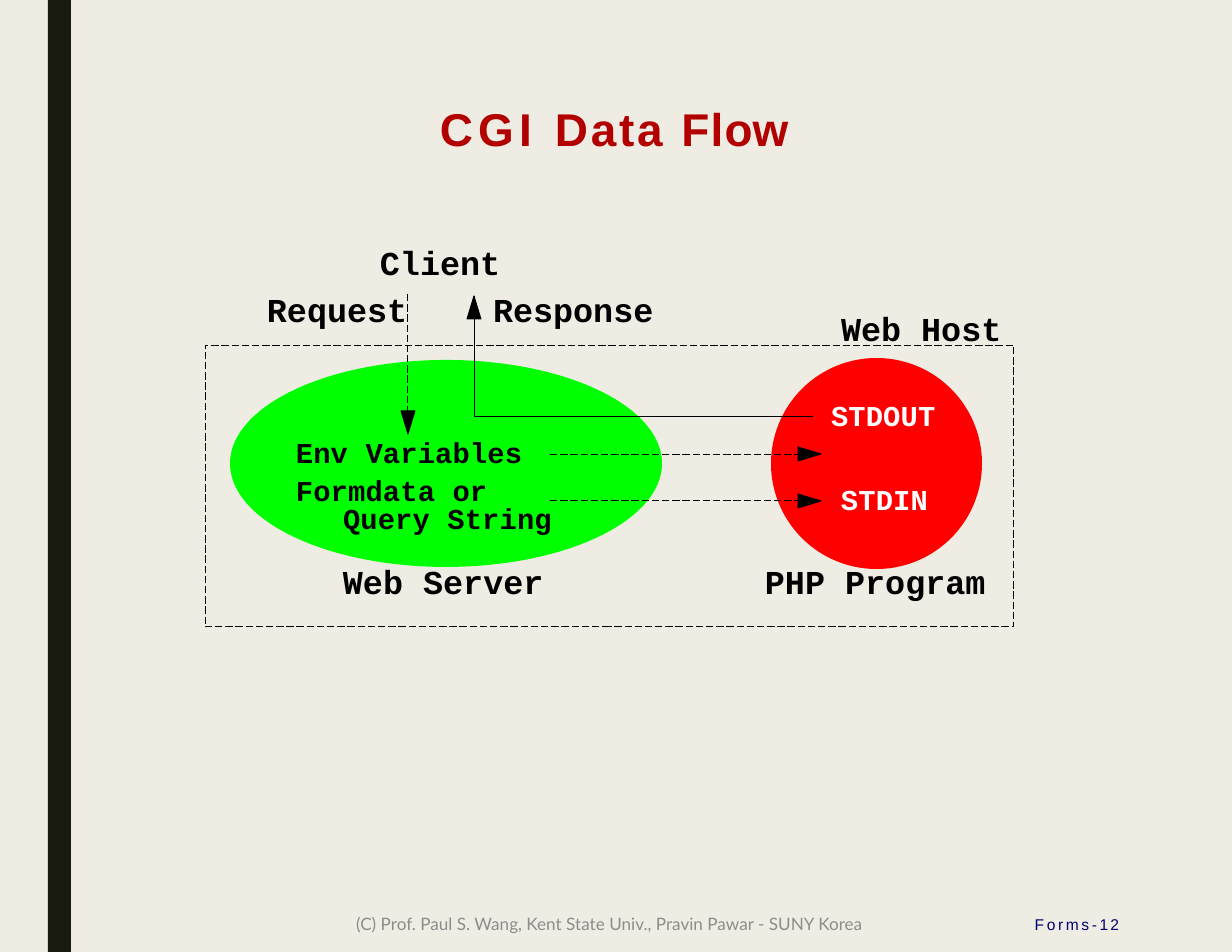
"""Build the CGI Data Flow slide."""
from dataclasses import dataclass

from lxml import etree
from pptx import Presentation
from pptx.dml.color import RGBColor
from pptx.enum.dml import MSO_LINE
from pptx.enum.shapes import MSO_CONNECTOR, MSO_SHAPE
from pptx.enum.text import MSO_ANCHOR, PP_ALIGN
from pptx.oxml.ns import qn
from pptx.util import Emu, Pt

EMU_PER_PX = 914400 / 112
RECTANGLE, OVAL = MSO_SHAPE.RECTANGLE, MSO_SHAPE.OVAL
STRAIGHT = MSO_CONNECTOR.STRAIGHT
LONG_DASH = MSO_LINE.LONG_DASH
LEFT, CENTER, RIGHT = PP_ALIGN.LEFT, PP_ALIGN.CENTER, PP_ALIGN.RIGHT
TOP, MIDDLE = MSO_ANCHOR.TOP, MSO_ANCHOR.MIDDLE
HEAD_LENGTH, HEAD_HALF = 23, 7


@dataclass(frozen=True)
class Theme:
    """Colours, fonts and sizes of the slide."""
    paper: str = "EFEDE3"
    bar: str = "191B0E"
    title: str = "B20000"
    number: str = "000072"
    footer: str = "8C8C8C"
    ink: str = "000000"
    white: str = "FFFFFF"
    server: str = "00FF00"
    program: str = "FF0000"
    sans: str = "Arial"
    mono: str = "Courier New"
    footer_font: str = "Lato"
    title_size: float = 29.5
    label_size: float = 21.5
    data_size: float = 18.5
    footer_size: float = 11
    number_size: float = 10
    line: float = 0.6


THEME = Theme()


def px(length):
    """Turn pixels into EMU."""
    return Emu(round(length * EMU_PER_PX))


def rgb(code):
    """Turn a hex code into a colour."""
    return RGBColor.from_string(code)


def style_line(line, dashed=False):
    """Give a line the thin black stroke."""
    line.color.rgb = rgb(THEME.ink)
    line.width = Pt(THEME.line)
    if dashed:
        line.dash_style = LONG_DASH


def add_block(slide, kind, left, top, width, height, fill=None):
    """Add a filled shape, or a dashed frame when there is no fill."""
    block = slide.shapes.add_shape(kind, px(left), px(top), px(width), px(height))
    block.shadow.inherit = False
    if fill:
        block.fill.solid()
        block.fill.fore_color.rgb = rgb(fill)
        block.line.fill.background()
    else:
        block.fill.background()
        style_line(block.line, dashed=True)
    return block


def add_path(slide, points, closed=False):
    """Add a black outline, filled when closed."""
    builder = slide.shapes.build_freeform(*points[0], scale=EMU_PER_PX)
    builder.add_line_segments(points[1:], close=closed)
    outline = builder.convert_to_shape()
    outline.shadow.inherit = False
    if closed:
        outline.fill.solid()
        outline.fill.fore_color.rgb = rgb(THEME.ink)
    else:
        outline.fill.background()
    style_line(outline.line)


def add_head(slide, x, y, dx, dy):
    """Add an arrowhead with its tip at x, y pointing along dx, dy."""
    base_x, base_y = x - dx * HEAD_LENGTH, y - dy * HEAD_LENGTH
    side_x, side_y = dy * HEAD_HALF, dx * HEAD_HALF
    add_path(slide, [(x, y), (base_x + side_x, base_y + side_y),
                     (base_x - side_x, base_y - side_y)], closed=True)


def add_dashed_arrow(slide, start, end, direction):
    """Add a dashed connector with a solid head."""
    arrow = slide.shapes.add_connector(STRAIGHT, *map(px, start + end))
    style_line(arrow.line, dashed=True)
    etree.SubElement(arrow._element.spPr, qn("a:effectLst"))
    add_head(slide, *end, *direction)


def add_text(slide, text, left, top, width, height, *, size, color, font,
             bold=False, align=LEFT, anchor=TOP, spacing=0):
    """Add one line of text, given as a string or as (string, spacing) spans."""
    box = slide.shapes.add_textbox(px(left), px(top), px(width), px(height))
    frame = box.text_frame
    frame.word_wrap = True
    frame.vertical_anchor = anchor
    frame.margin_left = frame.margin_right = 0
    frame.margin_top = frame.margin_bottom = 0
    para = frame.paragraphs[0]
    para.alignment = align
    spans = [(text, spacing)] if isinstance(text, str) else text
    for words, gap in spans:
        span = para.add_run()
        span.text = words
        span.font.size = Pt(size)
        span.font.name = font
        span.font.bold = bold
        span.font.color.rgb = rgb(color)
        if gap:
            span._r.get_or_add_rPr().set("spc", str(round(gap * 100)))


def add_label(slide, text, left, top):
    """Add a large monospaced label."""
    add_text(slide, text, left, top, 20 * len(text) + 4, 44, size=THEME.label_size,
             color=THEME.ink, font=THEME.mono, bold=True)


def add_data(slide, text, left, top, color):
    """Add a smaller monospaced name of a data channel."""
    add_text(slide, text, left, top, round(17.4 * len(text)) + 4, 38,
             size=THEME.data_size, color=color, font=THEME.mono, bold=True,
             spacing=0.1)


def add_surroundings(slide):
    """Add the side bar, title, slide number and footer."""
    add_block(slide, RECTANGLE, 48, 0, 23, 952, THEME.bar)
    title = [("CGI ", 3.3), ("Data ", 1.8), ("Fl", 0.8), ("o", 0.1), ("w", 1.1)]
    add_text(slide, title, 440, 101, 669, 200, size=THEME.title_size,
             color=THEME.title, font=THEME.sans, bold=True)
    add_text(slide, [("Forms-", 1.7), ("12", 1.4)], 958, 896, 161, 56,
             size=THEME.number_size, color=THEME.number, font=THEME.sans,
             align=RIGHT, anchor=MIDDLE)
    add_text(slide, "(C) Prof. Paul S. Wang, Kent State Univ., Pravin Pawar - SUNY Korea",
             292, 896, 635, 56, size=THEME.footer_size, color=THEME.footer,
             font=THEME.footer_font, align=CENTER, anchor=MIDDLE)


def add_diagram(slide):
    """Add the web host, its two parts and the flows between them."""
    add_block(slide, OVAL, 771, 358, 211, 211, THEME.program)
    add_block(slide, OVAL, 230, 360, 432, 207, THEME.server)
    for y in (454, 501):
        add_dashed_arrow(slide, (550, y), (821, y), (1, 0))
    add_path(slide, [(813, 416), (474, 416), (474, 296)])
    add_head(slide, 474, 296, 0, -1)
    add_dashed_arrow(slide, (408, 294), (408, 434), (0, 1))
    add_block(slide, RECTANGLE, 205, 345, 809, 282)


def main():
    """Build and save the deck."""
    deck = Presentation()
    deck.slide_width, deck.slide_height = px(1232), px(952)
    slide = deck.slides.add_slide(deck.slide_layouts[6])
    slide.background.fill.solid()
    slide.background.fill.fore_color.rgb = rgb(THEME.paper)
    add_surroundings(slide)
    add_diagram(slide)
    for text, left, top in (
            ("Client", 380, 242), ("Request", 267, 289), ("Response", 493, 289),
            ("Web Host", 841, 308), ("Web Server", 343, 561), ("PHP Program", 765, 561)):
        add_label(slide, text, left, top)
    for text, left, top, color in (
            ("Env Variables", 296, 435, THEME.ink), ("Formdata or", 296, 473, THEME.ink),
            ("Query String", 343, 501, THEME.ink), ("STDOUT", 831, 398, THEME.white),
            ("STDIN", 841, 482, THEME.white)):
        add_data(slide, text, left, top, color)
    deck.save("out.pptx")


if __name__ == "__main__":
    main()
